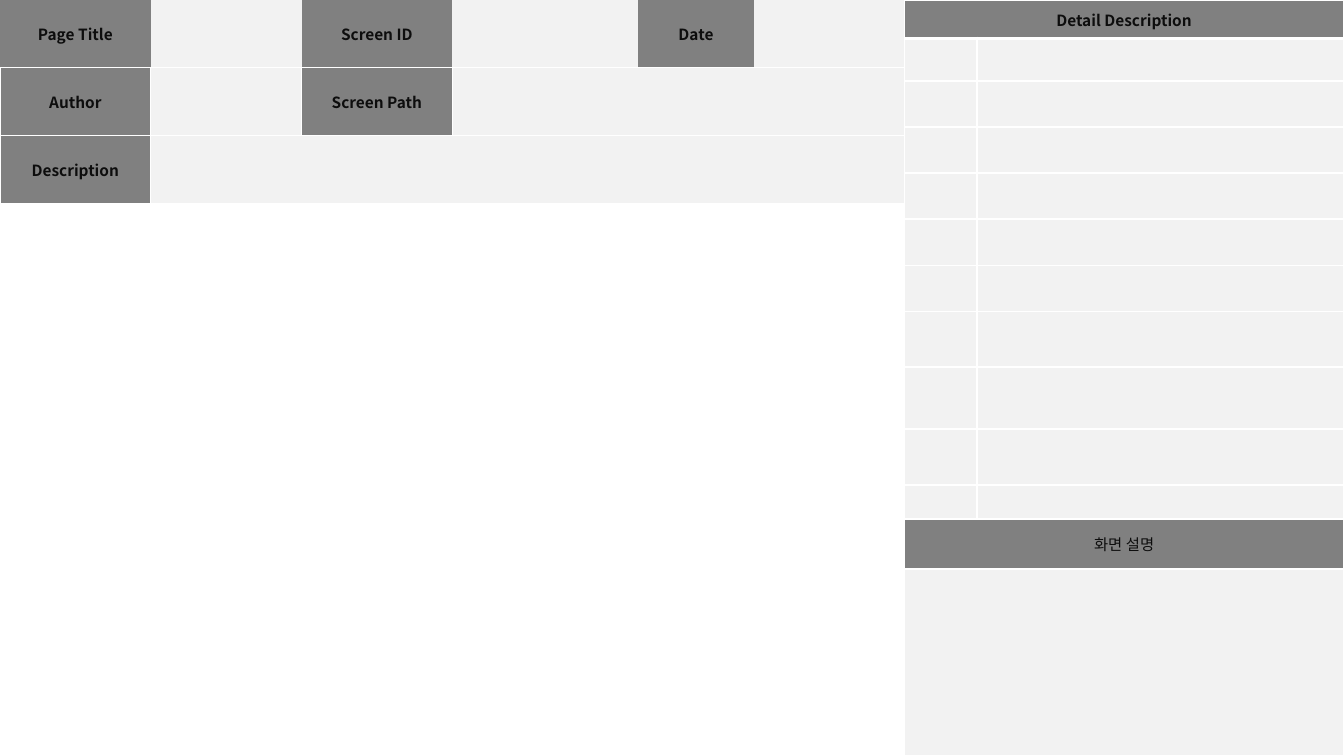
from lxml import etree
from pptx import Presentation
from pptx.dml.color import RGBColor
from pptx.enum import text
from pptx.oxml import ns
from pptx.util import Cm, Pt

LABEL_GRAY = RGBColor(0x80, 0x80, 0x80)
FIELD_GRAY = RGBColor(0xF2, 0xF2, 0xF2)
INK = RGBColor(0x0D, 0x0D, 0x0D)
WHITE = RGBColor(0xFF, 0xFF, 0xFF)
FONT = "Noto Sans CJK KR"
NO_STYLE_NO_GRID = "{2D5ABB26-0587-4C30-8999-92F81FD0307C}"


def add_plain_table(left, column_widths, row_heights):
    """Add an unstyled table at the top of the slide."""
    frame = slide.shapes.add_table(
        len(row_heights), len(column_widths),
        Cm(left), Cm(0), Cm(sum(column_widths)), Cm(sum(row_heights)))
    table = frame.table
    table.first_row = table.horz_banding = False
    frame._element.find(".//" + ns.qn("a:tableStyleId")).text = NO_STYLE_NO_GRID
    for column, width in zip(table.columns, column_widths):
        column.width = Cm(width)
    for row, height in zip(table.rows, row_heights):
        row.height = Cm(height)
    return table


def format_cell(cell, label, borders, bold=True):
    """Fill one cell; borders maps L, R, T and B to a width in points."""
    properties = cell._tc.get_or_add_tcPr()
    for side in "LRTB":
        line = etree.SubElement(properties, ns.qn("a:ln" + side))
        if side in borders:
            line.set("w", str(Pt(borders[side])))
            fill = etree.SubElement(line, ns.qn("a:solidFill"))
            etree.SubElement(fill, ns.qn("a:srgbClr"), val=str(WHITE))
        else:
            etree.SubElement(line, ns.qn("a:noFill"))
    cell.fill.solid()
    cell.fill.fore_color.rgb = LABEL_GRAY if label else FIELD_GRAY
    cell.vertical_anchor = text.MSO_ANCHOR.MIDDLE
    paragraph = cell.text_frame.paragraphs[0]
    paragraph.alignment = text.PP_ALIGN.CENTER
    if not label:
        # Keeps the empty line from stretching the low rows
        paragraph._p.get_or_add_endParaRPr().set("sz", "1000")
        return
    paragraph.text = label
    font = paragraph.runs[0].font
    font.name, font.size, font.bold = FONT, Pt(11), bold
    font.color.rgb = INK
    etree.SubElement(font._element, ns.qn("a:ea"), typeface=FONT)


presentation = Presentation()
presentation.slide_width, presentation.slide_height = Cm(33.87), Cm(19.05)
slide = presentation.slides.add_slide(presentation.slide_layouts[6])

ALL_SIDES = dict.fromkeys("LRTB", 1)

# Page information
info_columns = [3.8, 3.8, 3.8, 4.69, 2.9, 3.8]
info_labels = [
    ["Page Title", "", "Screen ID", "", "Date", ""],
    ["Author", "", "Screen Path", "", "", ""],
    ["Description", "", "", "", "", ""],
]
info = add_plain_table(0, info_columns, [1.71] * len(info_labels))
info.cell(1, 3).merge(info.cell(1, 5))
info.cell(2, 1).merge(info.cell(2, 5))
for row, labels in enumerate(info_labels):
    for column, label in enumerate(labels):
        format_cell(info.cell(row, column), label, ALL_SIDES if row else {"B": 1})

# Detail description
detail_rows = [0.97, 1.07] + [1.16] * 5 + [1.41, 1.56, 1.41, 0.86, 1.26, 4.71]
detail_labels = {0: "Detail Description", 11: "화면 설명"}
detail = add_plain_table(sum(info_columns), [1.83, 9.25], detail_rows)
for row in (0, 11, 12):
    detail.cell(row, 0).merge(detail.cell(row, 1))
for row in range(len(detail_rows)):
    borders = ALL_SIDES if row else {**ALL_SIDES, "B": 3}
    format_cell(detail.cell(row, 0), detail_labels.get(row, ""), borders, bold=row == 0)
    format_cell(detail.cell(row, 1), "", borders)

presentation.save("out.pptx")
